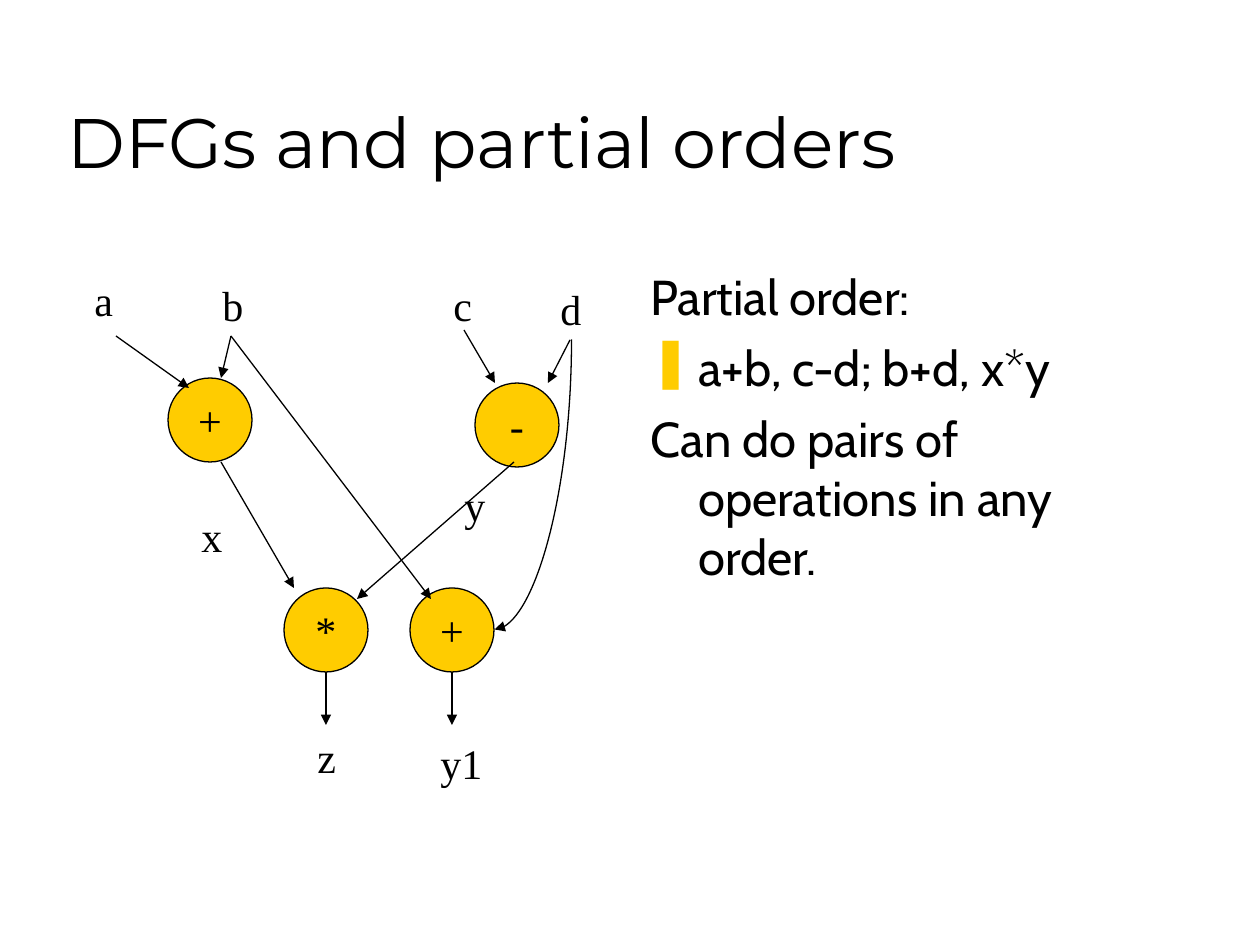
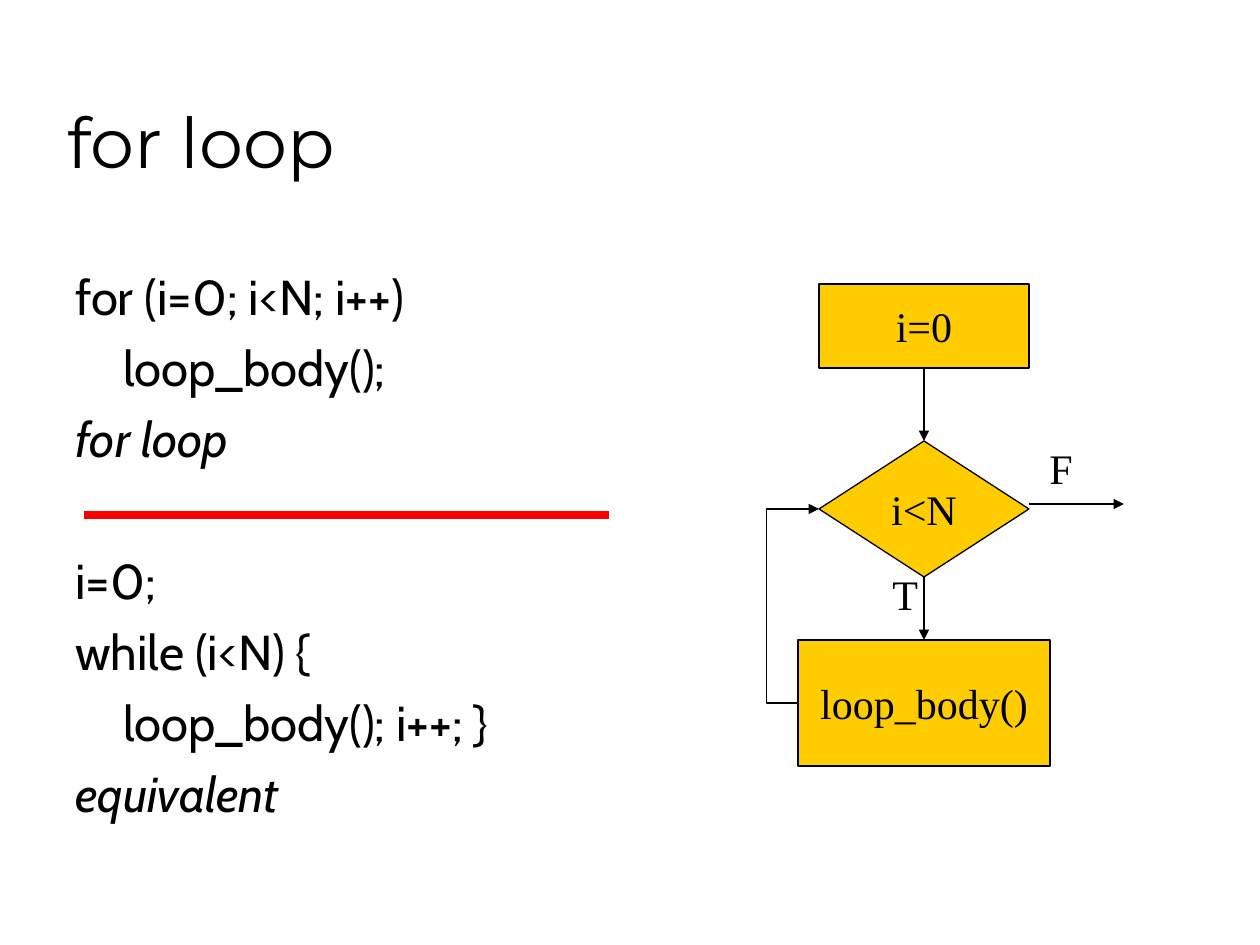
from lxml.etree import SubElement
from pptx import Presentation
from pptx.dml.color import RGBColor
from pptx.enum.shapes import MSO_CONNECTOR as WIRE, MSO_SHAPE as FORM
from pptx.enum.text import MSO_ANCHOR, MSO_AUTO_SIZE, PP_ALIGN
from pptx.oxml.ns import qn
from pptx.util import Pt

GOLD, BLACK, RED = "FFCC00", "000000", "FF0000"
HEAD, BODY, NOTE = ("Montserrat", 40), ("Cabin", 28), ("Times New Roman", 24)
STEP = 48  # hanging indent of the body text
GAP = 47.5  # space before a paragraph that skips one line


def px(*sizes):
    """Turn pixels at 126 to the inch into EMU."""
    return [round(size * 914400 / 126) for size in sizes]


def style(para, text, font):
    para.text = text
    para.font.name, para.font.size = font[0], Pt(font[1])
    para.font.color.rgb = RGBColor.from_string(BLACK)


# Body lines: text, look, space before
# Nodes: text, form, left, top, width, height
# Labels: text, left, top, width
# Wires: kind, start x, start y, end x, end y
# Joins: pairs of nodes, bottom to top
pages = [
    {
        "title": "DFGs and partial orders",
        "left": 638,
        "lines": [
            ("Partial order:", "hang", 0),
            ("a+b, c-d; b+d, x*y", "bullet", 7),
            ("Can do pairs of operations in any order.", "hang", 7),
        ],
        "nodes": [
            (sign, FORM.OVAL, x, y, 84, 84)
            for sign, x, y in [("+", 168, 378), ("-", 475, 383),
                               ("+", 410, 588), ("*", 284, 588)]
        ],
        "labels": [
            ("a", 82, 268, 44), ("b", 210, 273, 45), ("c", 441, 273, 44),
            ("d", 548, 277, 45), ("x", 189, 504, 45), ("y", 452, 473, 45),
            ("z", 305, 725, 44), ("y1", 428, 731, 67),
        ],
        "wires": [
            (WIRE.STRAIGHT, 116, 336, 189, 388),
            (WIRE.STRAIGHT, 231, 336, 221, 378),
            (WIRE.STRAIGHT, 221, 462, 294, 588),
            (WIRE.STRAIGHT, 326, 672, 326, 725),
            (WIRE.STRAIGHT, 464, 330, 495, 383),
            (WIRE.STRAIGHT, 570, 340, 548, 383),
            (WIRE.STRAIGHT, 514, 462, 357, 599),
            (WIRE.STRAIGHT, 231, 336, 431, 599),
            (WIRE.STRAIGHT, 452, 672, 452, 725),
            (WIRE.CURVE, 388, 446, 678, 523),  # before its quarter turn
        ],
        "joins": [],
    },
    {
        "title": "for loop",
        "left": 63,
        "lines": [
            ("for (i=0; i<N; i++)", "hang", 0),
            ("loop_body();", "inset", 7),
            ("for loop", "italic", 7),
            ("i=0;", "hang", GAP),
            ("while (i<N) {", "hang", 7),
            ("loop_body(); i++; }", "inset", 7),
            ("equivalent", "italic", 7),
        ],
        "nodes": [
            ("i=0", FORM.RECTANGLE, 819, 284, 210, 84),
            ("i<N", FORM.DIAMOND, 819, 441, 210, 136),
            ("loop_body()", FORM.RECTANGLE, 798, 640, 252, 126),
        ],
        "labels": [("T", 880, 562, 50), ("F", 1037, 436, 48)],
        "wires": [
            (WIRE.STRAIGHT, 1029, 504, 1124, 504),
            (WIRE.ELBOW, 798, 703, 819, 509),
        ],
        "joins": [(0, 1), (1, 2)],
    },
]

deck = Presentation()
deck.slide_width, deck.slide_height = px(1260, 945)

for page in pages:
    slide = deck.slides.add_slide(deck.slide_layouts[6])
    shapes = slide.shapes

    frame = shapes.add_textbox(*px(55, 32, 1071, 157)).text_frame
    frame.word_wrap = True
    frame.vertical_anchor = MSO_ANCHOR.BOTTOM
    style(frame.paragraphs[0], page["title"], HEAD)

    frame = shapes.add_textbox(*px(page["left"], 260, 553, 575)).text_frame
    frame.word_wrap = True
    for i, (text, look, space) in enumerate(page["lines"]):
        para = frame.add_paragraph() if i else frame.paragraphs[0]
        props = para._p.get_or_add_pPr()
        margin, indent = px(STEP, 0 if look == "inset" else -STEP)
        props.set("marL", str(margin))
        props.set("indent", str(indent))
        if look == "bullet":
            tint = SubElement(props, qn("a:buClr"))
            SubElement(tint, qn("a:srgbClr"), val=GOLD)
            SubElement(props, qn("a:buChar"), char="❚")
        para.space_before = Pt(space)
        style(para, text, BODY)
        if look == "italic":
            para.font.italic = True

    nodes = []
    for text, form, *place in page["nodes"]:
        node = shapes.add_shape(form, *px(*place))
        node.shadow.inherit = False
        node.fill.solid()
        node.fill.fore_color.rgb = RGBColor.from_string(GOLD)
        node.line.color.rgb = RGBColor.from_string(BLACK)
        node.line.width = Pt(0.75)
        frame = node.text_frame
        frame.word_wrap = False
        frame.vertical_anchor = MSO_ANCHOR.MIDDLE
        style(frame.paragraphs[0], text, NOTE)
        frame.paragraphs[0].alignment = PP_ALIGN.CENTER
        nodes.append(node)

    for text, x, y, width in page["labels"]:
        frame = shapes.add_textbox(*px(x, y, width, 63)).text_frame
        frame.word_wrap = False
        frame.auto_size = MSO_AUTO_SIZE.SHAPE_TO_FIT_TEXT
        style(frame.paragraphs[0], text, NOTE)

    wires = []
    for kind, *ends in page["wires"]:
        wire = shapes.add_connector(kind, *px(*ends))
        geom = wire._element.spPr.find(qn("a:prstGeom"))
        if kind == WIRE.CURVE:
            geom.set("prst", "curvedConnector2")
            wire._element.spPr.find(qn("a:xfrm")).set("rot", "5400000")
        elif kind == WIRE.ELBOW:
            SubElement(geom.find(qn("a:avLst")), qn("a:gd"),
                       name="adj1", fmla="val -150000")
        wires.append(wire)
    for start, end in page["joins"]:
        wire = shapes.add_connector(WIRE.STRAIGHT, 0, 0, 0, 0)
        wire.begin_connect(nodes[start], 2)
        wire.end_connect(nodes[end], 0)
        wires.append(wire)
    for wire in wires:
        wire.line.color.rgb = RGBColor.from_string(BLACK)
        wire.line.width = Pt(0.75)
        SubElement(wire.line._get_or_add_ln(), qn("a:tailEnd"), type="triangle")
        SubElement(wire._element.spPr, qn("a:effectLst"))

# Red rule between the two forms of the loop, on the last slide
rule = shapes.add_connector(WIRE.STRAIGHT, *px(84, 515, 609, 515))
rule.line.color.rgb = RGBColor.from_string(RED)
rule.line.width = Pt(4.5)
SubElement(rule._element.spPr, qn("a:effectLst"))

deck.save("out.pptx")
